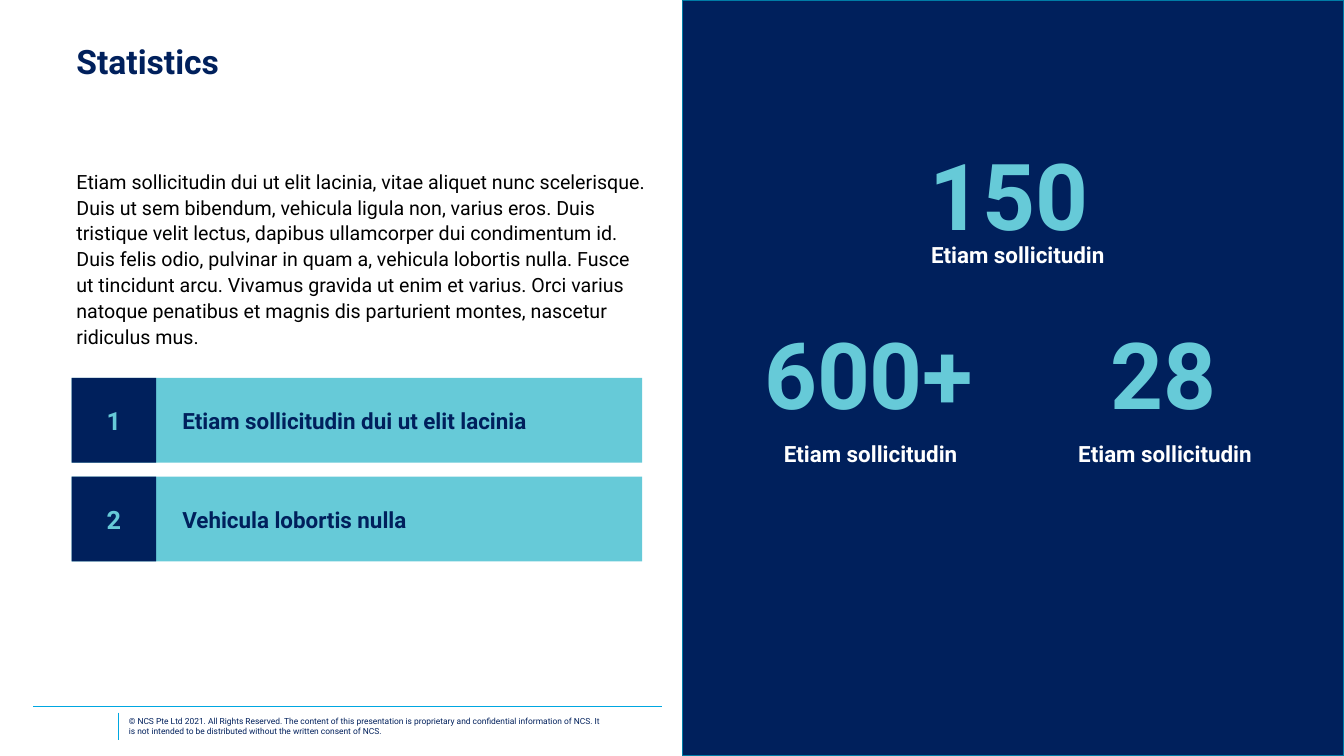
from dataclasses import dataclass

from lxml.etree import SubElement
from pptx import Presentation
from pptx.dml.color import RGBColor
from pptx.enum.shapes import MSO_CONNECTOR as Connector, MSO_SHAPE as Shape
from pptx.enum.text import MSO_ANCHOR as Anchor, PP_ALIGN as Align
from pptx.oxml.ns import qn
from pptx.util import Emu, Pt

EMU_PER_PX = 9144  # 100 px to the inch


@dataclass(frozen=True)
class Theme:
    font: str = "Roboto"
    navy: str = "00205C"
    aqua: str = "66CAD8"
    rule: str = "00A7E1"
    panel_edge: str = "007CA6"
    white: str = "FFFFFF"
    black: str = "000000"
    footer_size: int = 6
    body_size: int = 14
    label_size: int = 16
    badge_size: int = 18
    title_size: int = 24
    figure_size: int = 66


def px(length):
    return Emu(length * EMU_PER_PX)


class SlideBuilder:
    def __init__(self, slide, theme):
        self.slide = slide
        self.theme = theme

    def set_text(self, shape, text, size, color, bold=True, align=Align.LEFT,
                 anchor=Anchor.TOP, spacing=None, wrap=True):
        frame = shape.text_frame
        frame.text = text
        frame.word_wrap = wrap
        frame.vertical_anchor = anchor
        paragraph = frame.paragraphs[0]
        paragraph.alignment = align
        if spacing:
            paragraph.line_spacing = spacing
        font = paragraph.runs[0].font
        font.name = self.theme.font
        font.size = Pt(size)
        font.bold = bold
        font.color.rgb = RGBColor.from_string(color)

    def text(self, box, text, size, color, **style):
        shape = self.slide.shapes.add_textbox(*map(px, box))
        self.set_text(shape, text, size, color, **style)
        return shape

    def rectangle(self, box, fill, edge=None):
        shape = self.slide.shapes.add_shape(Shape.RECTANGLE, *map(px, box))
        shape.shadow.inherit = False
        shape.fill.solid()
        shape.fill.fore_color.rgb = RGBColor.from_string(fill)
        if edge:
            shape.line.color.rgb = RGBColor.from_string(edge)
            shape.line.width = Pt(1)
        else:
            shape.line.fill.background()
        return shape

    def line(self, *ends):
        connector = self.slide.shapes.add_connector(
            Connector.STRAIGHT, *map(px, ends))
        connector.line.color.rgb = RGBColor.from_string(self.theme.rule)
        connector.line.width = Pt(0.75)
        SubElement(connector._element.spPr, qn("a:effectLst"))

    def label(self, box, text, color, align=Align.LEFT):
        self.text(box, text, self.theme.label_size, color, align=align,
                  anchor=Anchor.MIDDLE)

    def statistic(self, figure, figure_box, label_box):
        """Draw a large figure with its centred label."""
        self.text(figure_box, figure, self.theme.figure_size, self.theme.aqua,
                  wrap=False)
        self.label(label_box, "Etiam sollicitudin", self.theme.white,
                   Align.CENTER)

    def numbered_bar(self, top, number, text):
        theme = self.theme
        self.rectangle((71, top, 566, 84), theme.aqua)
        self.label((171, top + 7, 449, 70), text, theme.navy)
        badge = self.rectangle((71, top, 84, 84), theme.navy)
        self.set_text(badge, str(number), theme.badge_size, theme.aqua,
                      align=Align.CENTER, anchor=Anchor.MIDDLE)

    def footer(self, text):
        self.line(33, 701, 657, 701)
        self.line(118, 707, 118, 734)
        notice = self.text((118, 699, 493, 43), text, self.theme.footer_size,
                           self.theme.navy, bold=False, anchor=Anchor.MIDDLE)
        notice.text_frame.margin_top = notice.text_frame.margin_bottom = px(10)


COPYRIGHT = (
    "© NCS Pte Ltd 2021. All Rights Reserved. The content of this presentation "
    "is proprietary and confidential information of NCS. It is not intended to "
    "be distributed without the written consent of NCS."
)
BODY = (
    "Etiam sollicitudin dui ut elit lacinia, vitae aliquet nunc scelerisque. "
    "Duis ut sem bibendum, vehicula ligula non, varius eros. Duis tristique "
    "velit lectus, dapibus ullamcorper dui condimentum id. Duis felis odio, "
    "pulvinar in quam a, vehicula lobortis nulla. Fusce ut tincidunt arcu. "
    "Vivamus gravida ut enim et varius. Orci varius natoque penatibus et magnis "
    "dis parturient montes, nascetur ridiculus mus."
)
STATISTICS = [
    ("150", (912, 132, 178, 121), (785, 218, 449, 70)),
    ("600+", (748, 310, 231, 121), (729, 415, 269, 70)),
    ("28", (1092, 310, 125, 121), (1021, 415, 269, 70)),
]
BARS = ["Etiam sollicitudin dui ut elit lacinia", "Vehicula lobortis nulla"]
BAR_TOP, BAR_PITCH = 375, 98


def main():
    presentation = Presentation()
    presentation.slide_width = px(1333)
    presentation.slide_height = px(750)
    slide = presentation.slides.add_slide(presentation.slide_layouts[6])
    theme = Theme()
    builder = SlideBuilder(slide, theme)

    builder.rectangle((677, 0, 656, 750), theme.navy, theme.panel_edge)
    builder.footer(COPYRIGHT)
    builder.text((66, 40, 591, 94), "Statistics", theme.title_size, theme.navy,
                 spacing=0.9)
    builder.text((66, 161, 590, 193), BODY, theme.body_size, theme.black,
                 bold=False, spacing=1.1)
    for statistic in STATISTICS:
        builder.statistic(*statistic)
    for index, text in enumerate(BARS):
        builder.numbered_bar(BAR_TOP + index * BAR_PITCH, index + 1, text)

    presentation.save("out.pptx")


if __name__ == "__main__":
    main()
